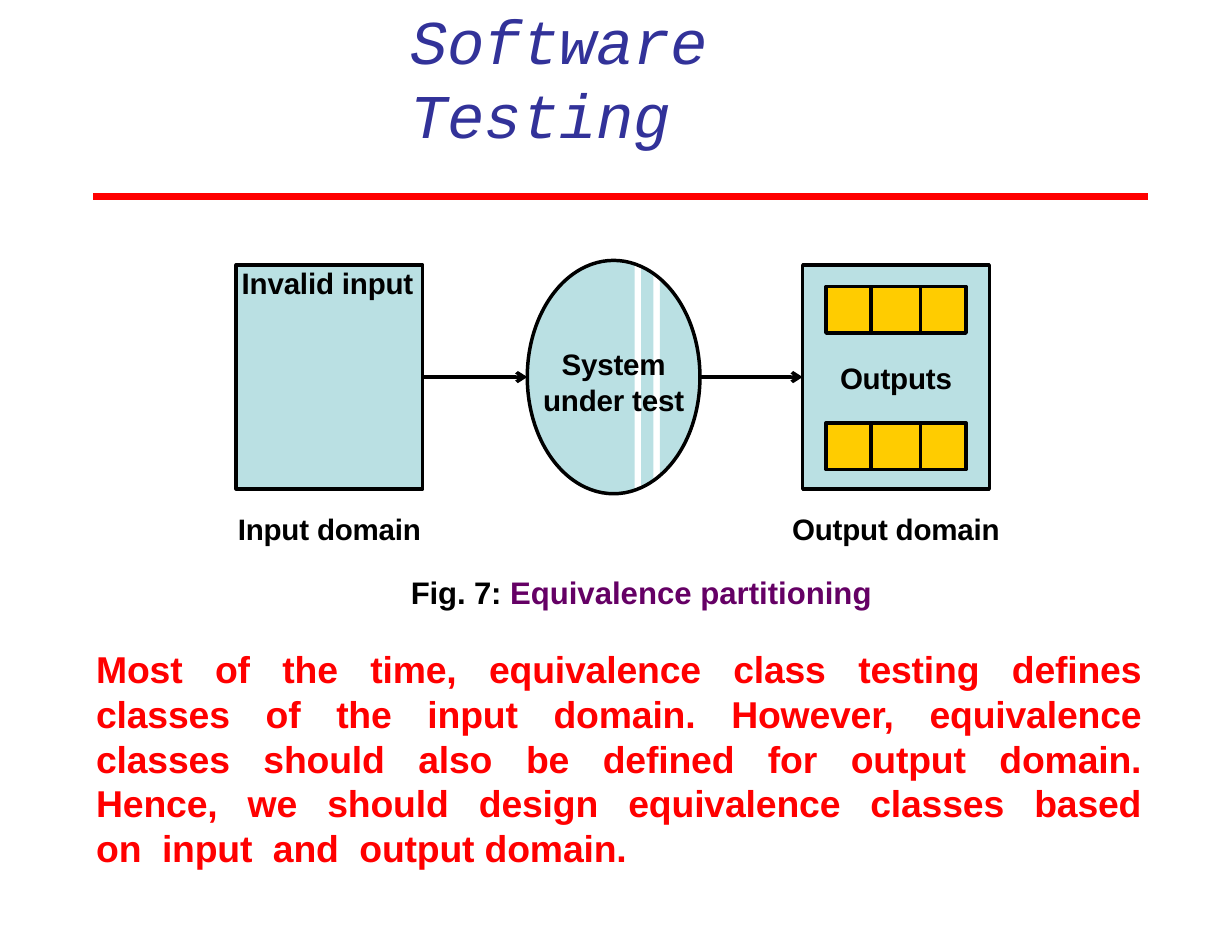
import math
from dataclasses import dataclass

from lxml import etree
from pptx import Presentation
from pptx.dml.color import RGBColor
from pptx.enum.shapes import MSO_CONNECTOR, MSO_SHAPE
from pptx.enum.text import MSO_ANCHOR, PP_ALIGN
from pptx.oxml.ns import qn
from pptx.util import Inches, Pt

LEFT, CENTER, JUSTIFY = PP_ALIGN.LEFT, PP_ALIGN.CENTER, PP_ALIGN.JUSTIFY
STRAIGHT = MSO_CONNECTOR.STRAIGHT
RECTANGLE, OVAL = MSO_SHAPE.RECTANGLE, MSO_SHAPE.OVAL
TOP = MSO_ANCHOR.TOP
RIGHT_SIDE, LEFT_SIDE = 3, 1
CELL = Inches(1) / 12  # the slide is a grid of 132 columns by 102 rows


@dataclass(frozen=True)
class Theme:
    ink: str = "000000"
    title: str = "323299"
    accent: str = "FF0000"
    caption: str = "650065"
    domain: str = "BAE0E3"
    cell: str = "FFCC00"
    sans: str = "Arial"
    mono: str = "Courier New"
    title_size: float = 40
    label_size: float = 19
    caption_size: float = 20
    body_size: float = 24
    line: float = 2.25
    rule: float = 4.5


@dataclass(frozen=True)
class Box:
    """An area in columns and rows of the slide grid."""
    x: float
    y: float
    w: float
    h: float

    def inner(self, x, y, w, h):
        return Box(self.x + x, self.y + y, w, h)

    def emu(self):
        return [round(v * CELL) for v in (self.x, self.y, self.w, self.h)]


T = Theme()


def rgb(value):
    return RGBColor.from_string(value)


def add_run(p, text, size, color=T.ink, font=T.sans, bold=True, italic=False, spacing=-0.1):
    r = p.add_run()
    r.text = text
    r.font.name, r.font.size = font, Pt(size)
    r.font.bold, r.font.italic = bold, italic
    r.font.color.rgb = rgb(color)
    r._r.get_or_add_rPr().set("spc", str(round(spacing * 100)))


def set_frame(sp):
    tf = sp.text_frame
    tf.word_wrap = True
    tf.vertical_anchor = TOP
    tf.margin_left = tf.margin_right = tf.margin_top = tf.margin_bottom = 0
    return tf


def add_text(s, box):
    return set_frame(s.shapes.add_textbox(*box.emu()))


def add_label(s, box, text):
    p = add_text(s, box).paragraphs[0]
    p.alignment = CENTER
    add_run(p, text, T.label_size)
    return p


def paint(sp, fill=None, line=None):
    sp.shadow.inherit = False
    if fill:
        sp.fill.solid()
        sp.fill.fore_color.rgb = rgb(fill)
    else:
        sp.fill.background()
    if line:
        sp.line.color.rgb = rgb(line)
        sp.line.width = Pt(T.line)
    else:
        sp.line.fill.background()
    return sp


def add_rect(s, box, fill):
    return paint(s.shapes.add_shape(RECTANGLE, *box.emu()), fill, T.ink)


def add_line(s, x1, y1, x2, y2, color=T.ink, width=T.line, arrow=False):
    c = s.shapes.add_connector(STRAIGHT, *[round(v * CELL) for v in (x1, y1, x2, y2)])
    c.line.color.rgb = rgb(color)
    c.line.width = Pt(width)
    if arrow:
        etree.SubElement(c.line._get_or_add_ln(), qn("a:tailEnd"), type="arrow")
    etree.SubElement(c._element.spPr, qn("a:effectLst"))
    return c


def title_region(s, box):
    # Heading, wrapped on two lines
    p = add_text(s, box.inner(44, 0.2, 40.7, 7)).paragraphs[0]
    p.alignment = LEFT
    add_run(p, "Software Testing", T.title_size, T.title, T.mono, bold=False, italic=True)
    # Rule below the heading
    y = box.y + box.h
    add_line(s, box.x + 10, y, box.x + 123, y, T.accent, T.rule)


def system_ellipse(s, box):
    # Three vertical slices of the ellipse, parted by narrow gaps
    rx, ry = box.w / 2, box.h / 2
    cx, cy = box.x + rx, box.y + ry
    for start, end in ((0, 11.5), (12.2, 13.5), (14.2, box.w)):
        a, b = (math.acos(1 - v / rx) for v in (start, end))
        angles = [a + (b - a) * i / 24 for i in range(25)]
        outline = [(cx - rx * math.cos(t), cy - ry * math.sin(t)) for t in angles]
        outline += [(x, 2 * cy - y) for x, y in reversed(outline)]
        points = [(round(x * CELL), round(y * CELL)) for x, y in outline]
        builder = s.shapes.build_freeform(*points[0])
        builder.add_line_segments(points[1:], close=True)
        paint(builder.convert_to_shape(), T.domain)
    # Outline and label
    paint(s.shapes.add_shape(OVAL, *box.emu()), line=T.ink)
    p = add_label(s, box.inner(1.2, 9.2, box.w - 2.4, 7.3), "System under test")
    p.line_spacing = Pt(22.7)


def cell_bank(s, box):
    add_rect(s, box, T.cell)
    for column in (4.8, 10.1):
        x = box.x + column
        add_line(s, x, box.y, x, box.y + box.h)


def input_domain(s, box):
    sp = add_rect(s, box, T.domain)
    tf = set_frame(sp)
    tf.margin_left = Inches(0.05)
    p = tf.paragraphs[0]
    p.alignment = LEFT
    add_run(p, "Invalid input", T.label_size)
    return sp


def output_domain(s, box):
    sp = add_rect(s, box, T.domain)
    for row in (2.3, 16.9):
        cell_bank(s, box.inner(2.5, row, 15, 5))
    add_label(s, box.inner(0, 10.2, box.w, 3.5), "Outputs")
    return sp


def figure_region(s, box):
    left = box.inner(0, 0.5, 20, 24)
    middle = box.inner(31.2, 0, 18.5, 25)
    right = box.inner(60.7, 0.5, 20, 24)
    # Domains and the system between them
    system_ellipse(s, middle)
    source = input_domain(s, left)
    target = output_domain(s, right)
    # Flow arrows
    y = left.y + left.h / 2
    add_line(s, left.x + left.w, y, middle.x, y, arrow=True).begin_connect(source, RIGHT_SIDE)
    add_line(s, middle.x + middle.w, y, right.x, y, arrow=True).end_connect(target, LEFT_SIDE)
    # Names below the domains
    for domain, name in ((left, "Input domain"), (right, "Output domain")):
        add_label(s, domain.inner(-2, 26.3, domain.w + 4, 3.5), name)


def text_region(s, box):
    tf = add_text(s, box)
    # Caption
    p = tf.paragraphs[0]
    p._p.get_or_add_pPr().set("marL", str(Inches(2.81)))
    add_run(p, "Fig. 7: ", T.caption_size)
    add_run(p, "Equivalence partitioning", T.caption_size, T.caption, spacing=0)
    # Justified statement with widened word gaps
    p = tf.add_paragraph()
    p.alignment = JUSTIFY
    p.space_before = Pt(23)
    words = ("Most of the time, equivalence class testing defines classes of the input "
             "domain. However, equivalence classes should also be defined for output domain. "
             "Hence, we should design equivalence classes based on input and").split()
    for word in words:
        add_run(p, word, T.body_size, T.accent)
        add_run(p, " ", T.body_size, T.accent, spacing=6.5)
    add_run(p, "output domain.", T.body_size, T.accent)


def main():
    prs = Presentation()
    prs.slide_width, prs.slide_height = Inches(11), Inches(8.5)
    s = prs.slides.add_slide(prs.slide_layouts[6])
    title_region(s, Box(0, 0, 132, 21.1))
    figure_region(s, Box(25.3, 27.9, 81, 30))
    text_region(s, Box(10.3, 61.4, 112, 32.3))
    prs.save("out.pptx")


if __name__ == "__main__":
    main()
